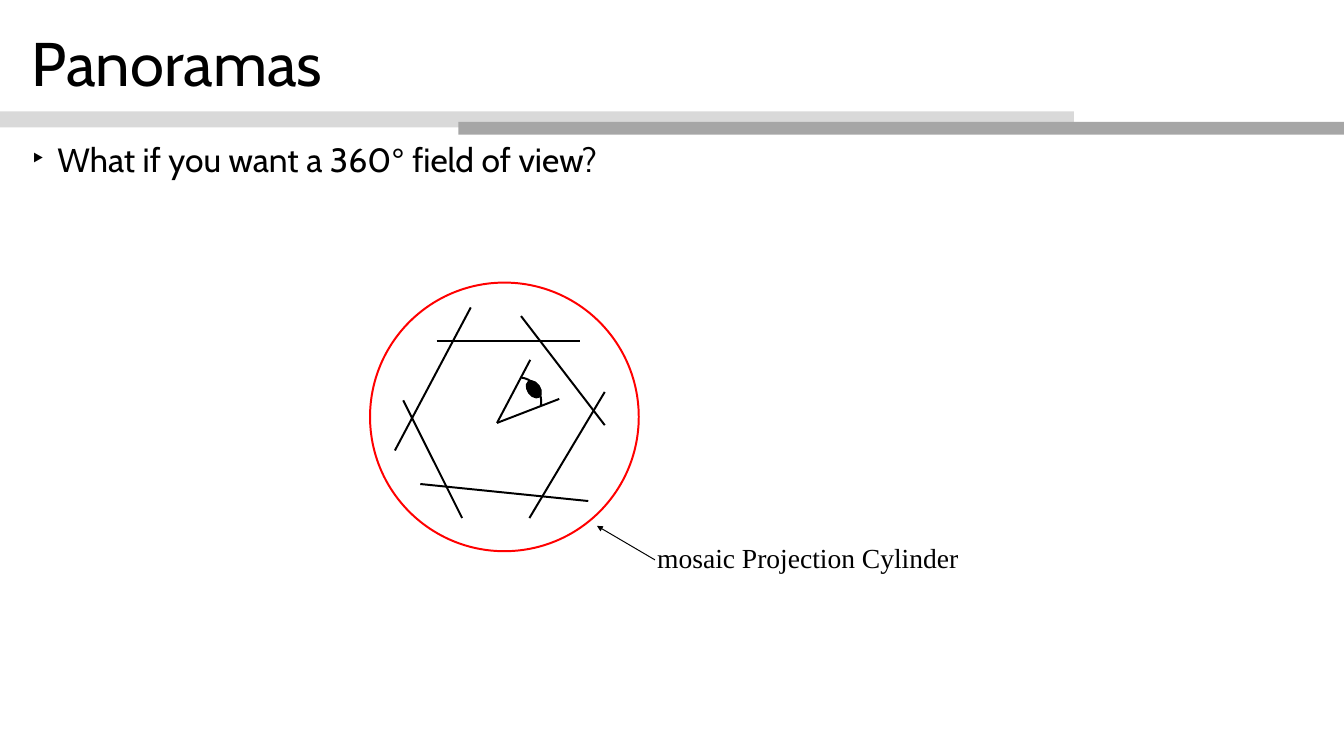
from lxml.etree import SubElement
from pptx import Presentation
from pptx.dml.color import RGBColor
from pptx.enum.shapes import MSO_CONNECTOR, MSO_SHAPE
from pptx.enum.text import MSO_ANCHOR, MSO_AUTO_SIZE, PP_ALIGN
from pptx.oxml.ns import qn
from pptx.util import Cm, Pt

COLOURS = {"ink": "000000", "paper": "FFFFFF", "ring": "FF0000",
           "light bar": "D9D9D9", "dark bar": "A6A6A6"}


def paint(shape, fill=None, line=None, width=2):
    shape.shadow.inherit = False
    if fill:
        shape.fill.solid()
        shape.fill.fore_color.rgb = RGBColor.from_string(COLOURS[fill])
    else:
        shape.fill.background()
    if line:
        shape.line.color.rgb = RGBColor.from_string(COLOURS[line])
        shape.line.width = Pt(width)
    else:
        shape.line.fill.background()


def draw_line(x1, y1, x2, y2, width=2):
    line = slide.shapes.add_connector(
        MSO_CONNECTOR.STRAIGHT, Cm(x1), Cm(y1), Cm(x2), Cm(y2))
    line.line.color.rgb = RGBColor.from_string(COLOURS["ink"])
    line.line.width = Pt(width)
    SubElement(line._element.spPr, qn("a:effectLst"))
    return line


prs = Presentation()
prs.slide_width, prs.slide_height = Cm(48.16), Cm(27.1)
slide = prs.slides.add_slide(prs.slide_layouts[1])

# Two overlapping bars under the title
for name, left, top, width, height in [("light bar", 0, 3.99, 38.48, 0.58),
                                       ("dark bar", 16.43, 4.37, 31.73, 0.46)]:
    bar = slide.shapes.add_shape(
        MSO_SHAPE.RECTANGLE, Cm(left), Cm(top), Cm(width), Cm(height))
    paint(bar, fill=name)

# Title and question
title, question = slide.shapes.title, slide.placeholders[1]
title.text_frame.text = "Panoramas"
question.text_frame.text = "What if you want a 360"
question_line = question.text_frame.paragraphs[0]
for part in ("°", " field of view?"):
    question_line.add_run().text = part

for holder, top, height, size, anchor in [
        (title, 0.56, 3.66, 62.6, MSO_ANCHOR.MIDDLE),
        (question, 5, 21.54, 34.1, MSO_ANCHOR.TOP)]:
    holder.left, holder.top = Cm(0.89), Cm(top)
    holder.width, holder.height = Cm(46.35), Cm(height)
    frame = holder.text_frame
    frame.auto_size = MSO_AUTO_SIZE.NONE
    frame.vertical_anchor = anchor
    paragraph = frame.paragraphs[0]
    paragraph.alignment = PP_ALIGN.LEFT
    paragraph.line_spacing = 0.9
    paragraph.space_before = Pt(0)
    for run in paragraph.runs:
        run.font.name = "Arial" if run.text == "°" else "Cabin"
        run.font.size = Pt(size)
        run.font.color.rgb = RGBColor.from_string(COLOURS["ink"])

bullet_props = question_line._p.get_or_add_pPr()
bullet_props.set("marL", str(Cm(0.91)))
bullet_props.set("indent", str(Cm(-0.91)))
SubElement(bullet_props, qn("a:buFont"), typeface="Arial")
SubElement(bullet_props, qn("a:buChar"), char="‣")

# Eye: white wedge, rounded front, pupil and two lids
lens_controls = [(18.69, 13.54), (19.13, 13.59), (19.46, 14.05), (19.38, 14.55)]
STEPS = 16
lens = []
for step in range(STEPS + 1):
    t = step / STEPS
    weights = [(1 - t) ** 3, 3 * t * (1 - t) ** 2, 3 * t ** 2 * (1 - t), t ** 3]
    lens.append(tuple(
        Cm(sum(w * point[axis] for w, point in zip(weights, lens_controls)))
        for axis in (0, 1)))

eye_corner = (17.81, 15.16)
wedge = [(Cm(eye_corner[0]), Cm(eye_corner[1]))] + lens
for outline, closed, fill, line in [(wedge, True, "paper", None),
                                    (lens, False, None, "ink")]:
    builder = slide.shapes.build_freeform(*outline[0])
    builder.add_line_segments(outline[1:], close=closed)
    paint(builder.convert_to_shape(), fill, line)

pupil = slide.shapes.add_shape(
    MSO_SHAPE.OVAL, Cm(18.9), Cm(13.61), Cm(0.46), Cm(0.69))
pupil.rotation = 324.7
paint(pupil, "ink", "ink", 1)

for lid_end in [(19, 12.9), (20.04, 14.3)]:
    draw_line(*eye_corner, *lid_end)

# Image planes around the eye
for plane in [(15.65, 12.24, 20.78, 12.24), (18.67, 11.33, 21.67, 15.24),
              (21.67, 14.05, 18.97, 18.57), (21.08, 17.96, 15.06, 17.35),
              (16.56, 18.57, 14.45, 14.35), (16.87, 11.02, 14.15, 16.15)]:
    draw_line(*plane)

# Projection cylinder with its label and arrow
cylinder = slide.shapes.add_shape(
    MSO_SHAPE.OVAL, Cm(13.26), Cm(10.13), Cm(9.63), Cm(9.63))
paint(cylinder, line="ring")

label = slide.shapes.add_textbox(Cm(23.37), Cm(19.2), Cm(11.28), Cm(1.55))
label_frame = label.text_frame
label_frame.text = "mosaic Projection Cylinder"
label_frame.word_wrap = False
label_frame.auto_size = MSO_AUTO_SIZE.SHAPE_TO_FIT_TEXT
label_frame.margin_left = label_frame.margin_right = Cm(0.18)
label_frame.margin_top = label_frame.margin_bottom = Cm(0.18)
label_font = label_frame.paragraphs[0].runs[0].font
label_font.name, label_font.size = "Times New Roman", Pt(28)
label_font.color.rgb = RGBColor.from_string(COLOURS["ink"])

arrow = draw_line(23.47, 20.07, 21.39, 18.85, width=1)
SubElement(arrow.line._get_or_add_ln(), qn("a:tailEnd"), type="triangle")

prs.save("out.pptx")
